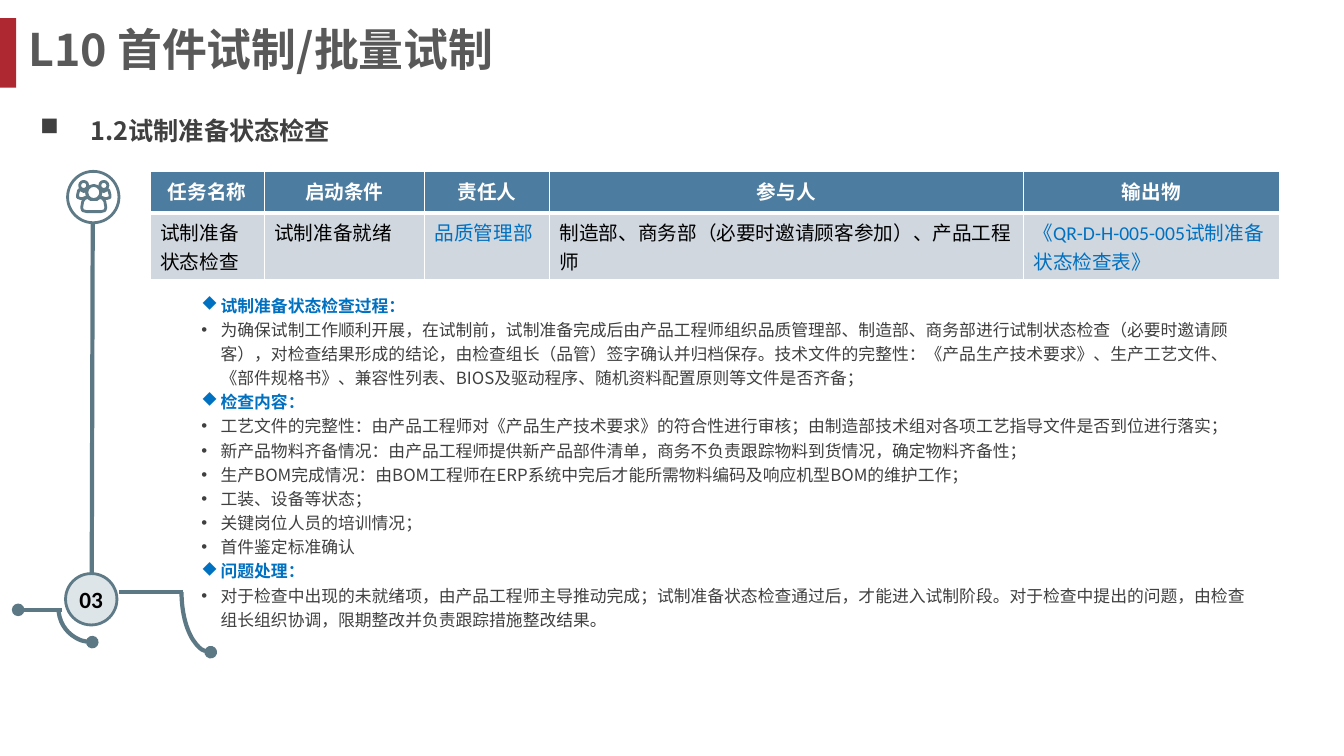
import math
from lxml import etree
from pptx import Presentation
from pptx.dml.color import RGBColor
from pptx.enum import shapes, text
from pptx.oxml import ns
from pptx.util import Inches, Pt

COLORS = {"red": "AD2830", "title": "595959", "body": "404040", "blue": "0070C0",
          "header": "4C7CA0", "row": "D0D7DF", "white": "FFFFFF", "black": "000000",
          "badge": "DEE5E8", "ring": "5E7A86", "track": "5B7884"}
CJK = "Noto Sans CJK SC"
BULLETS = {"square": ("Wingdings", "n"), "diamond": ("Wingdings", "u"), "dot": ("Arial", "•")}


def style(para, size, color, bold=False, latin=CJK, bullet=None, indent=0):
    props = para._p.get_or_add_pPr()
    if indent:
        props.set("marL", str(Inches(indent)))
        props.set("indent", str(-Inches(indent)))
    if bullet:
        face, char = BULLETS[bullet]
        etree.SubElement(props, ns.qn("a:buFont")).set("typeface", face)
        etree.SubElement(props, ns.qn("a:buChar")).set("char", char)
    for span in para.runs:
        span.font.size = Pt(size)
        span.font.bold = bold
        span.font.name = latin
        span.font.color.rgb = RGBColor.from_string(COLORS[color])
        etree.SubElement(span._r.get_or_add_rPr(), ns.qn("a:ea")).set("typeface", CJK)


def draw(shape, fill=None, line=None, width=2, oval_end=False):
    if hasattr(shape, "shadow"):
        shape.shadow.inherit = False
    else:
        etree.SubElement(shape._element.spPr, ns.qn("a:effectLst"))
    if fill:
        shape.fill.solid()
        shape.fill.fore_color.rgb = RGBColor.from_string(COLORS[fill])
    elif hasattr(shape, "fill"):
        shape.fill.background()
    if line:
        shape.line.color.rgb = RGBColor.from_string(COLORS[line])
        shape.line.width = Pt(width)
    else:
        shape.line.fill.background()
    if oval_end:
        etree.SubElement(shape.line._get_or_add_ln(), ns.qn("a:headEnd")).set("type", "oval")


deck = Presentation()
deck.slide_width, deck.slide_height = Inches(13.33), Inches(7.5)
page = deck.slides.add_slide(deck.slide_layouts[5])
preset = shapes.MSO_SHAPE

accent = page.shapes.add_shape(preset.RECTANGLE, 0, Inches(0.18), Inches(0.16), Inches(0.69))
draw(accent, "red")

title = page.shapes.title
title.left, title.top, title.width, title.height = (Inches(n) for n in (0.18, 0.17, 6.05, 0.73))
subtitle = page.shapes.add_textbox(Inches(0.3), Inches(1.09), Inches(11.5), Inches(0.44))
for box, words, size, color, bullet, indent in [
        (title, "L10 首件试制/批量试制", 32, "title", None, 0),
        (subtitle, "1.2试制准备状态检查", 18, "body", "square", 0.5)]:
    frame = box.text_frame
    frame.text = words
    frame.word_wrap = True
    frame.auto_size = text.MSO_AUTO_SIZE.NONE
    frame.vertical_anchor = text.MSO_ANCHOR.TOP
    para = frame.paragraphs[0]
    style(para, size, color, True, bullet=bullet, indent=indent)
    para.alignment = text.PP_ALIGN.LEFT
    para.space_before = Pt(0)
    para.line_spacing = 1.0

columns = [
    (1.13, "任务名称", "试制准备状态检查", "black"),
    (1.59, "启动条件", "试制准备就绪", "black"),
    (1.24, "责任人", "品质管理部", "blue"),
    (4.7, "参与人", "制造部、商务部（必要时邀请顾客参加）、产品工程师", "black"),
    (2.54, "输出物", "《QR-D-H-005-005试制准备状态检查表》", "blue"),
]
table = page.shapes.add_table(2, len(columns), Inches(1.49), Inches(1.7),
                              Inches(11.2), Inches(0.82)).table
for row in table.rows:
    row.height = Inches(0.41)
for col, (width, heading, value, color) in enumerate(columns):
    table.columns[col].width = Inches(width)
    for row, words in enumerate((heading, value)):
        cell = table.cell(row, col)
        cell.text = words
        para = cell.text_frame.paragraphs[0]
        style(para, 14, color if row else "white", not row, "Calibri")
        para.alignment = text.PP_ALIGN.LEFT if row else text.PP_ALIGN.CENTER
        props = cell._tc.get_or_add_tcPr()
        for side in "LRTB":
            weight = 3 if (row, side) in ((0, "B"), (1, "T")) else 1
            border = etree.SubElement(props, ns.qn("a:ln" + side), w=str(Pt(weight)))
            fill = etree.SubElement(border, ns.qn("a:solidFill"))
            etree.SubElement(fill, ns.qn("a:srgbClr")).set("val", COLORS["white"])
        cell.fill.solid()
        cell.fill.fore_color.rgb = RGBColor.from_string(COLORS["row" if row else "header"])

for x1, y1, x2, y2, oval in [(1.18, 5.87, 1.82, 5.87, False),
                             (0.92, 2.2, 0.91, 5.69, False),
                             (0.18, 6.05, 0.62, 6.05, True)]:
    track = page.shapes.add_connector(shapes.MSO_CONNECTOR.STRAIGHT, Inches(x1), Inches(y1),
                                      Inches(x2), Inches(y2))
    draw(track, line="track", width=3, oval_end=oval)
for left, top, width, height in [(1.8, 5.28, 0.58, 1.19), (0.58, 5.7, 0.67, 0.67)]:
    branch = page.shapes.add_shape(preset.ARC, Inches(left), Inches(top),
                                   Inches(width), Inches(height))
    branch.rotation = 180
    draw(branch, line="track", width=3, oval_end=True)

for left, top, fill, label in [(0.67, 1.7, "white", ""), (0.65, 5.69, "badge", "03")]:
    badge = page.shapes.add_shape(preset.OVAL, Inches(left), Inches(top),
                                  Inches(0.51), Inches(0.51))
    draw(badge, fill, "ring")
    if label:
        frame = badge.text_frame
        frame.text = label
        frame.word_wrap = False
        frame.vertical_anchor = text.MSO_ANCHOR.MIDDLE
        frame.paragraphs[0].alignment = text.PP_ALIGN.CENTER
        style(frame.paragraphs[0], 16.6, "black", True, "Calibri")

shoulder = [(0.82, 1.97), (0.8, 1.97), (0.77, 1.96), (0.77, 1.93), (0.78, 1.89), (0.79, 1.88),
            (0.83, 1.9), (0.86, 1.89), (0.86, 1.92), (0.87, 1.95)]
torso = [(0.86, 2.1), (0.82, 2.09), (0.81, 2.06), (0.82, 2.0), (0.84, 1.97), (0.87, 1.96),
         (0.9, 1.98), (0.93, 1.98), (0.96, 1.98), (0.99, 1.96), (1.02, 1.97), (1.04, 2.0),
         (1.05, 2.06), (1.04, 2.09), (1, 2.1)]
outlines = [shoulder, [(1.86 - x, y) for x, y in shoulder], torso]
for x, y, radius in [(0.83, 1.84, 0.04), (1.03, 1.84, 0.04), (0.93, 1.91, 0.07)]:
    outlines.append([(x + radius * math.cos(k * math.pi / 6),
                      y + radius * math.sin(k * math.pi / 6)) for k in range(12)])
outlines = [[(Inches(x), Inches(y)) for x, y in outline] for outline in outlines]
people = page.shapes.build_freeform(*outlines[0][0])
for number, outline in enumerate(outlines):
    if number:
        people.move_to(*outline[0])
    people.add_line_segments(outline[1:], close=True)
draw(people.convert_to_shape(), "white", "ring")

sections = [
    ("试制准备状态检查过程：", [
        "为确保试制工作顺利开展，在试制前，试制准备完成后由产品工程师组织品质管理部、制造部、商务部进行试制状态检查（必要时邀请顾客），对检查结果形成的结论，由检查组长（品管）签字确认并归档保存。技术文件的完整性：《产品生产技术要求》、生产工艺文件、《部件规格书》、兼容性列表、BIOS及驱动程序、随机资料配置原则等文件是否齐备；"]),
    ("检查内容：", [
        "工艺文件的完整性：由产品工程师对《产品生产技术要求》的符合性进行审核；由制造部技术组对各项工艺指导文件是否到位进行落实；",
        "新产品物料齐备情况：由产品工程师提供新产品部件清单，商务不负责跟踪物料到货情况，确定物料齐备性；",
        "生产BOM完成情况：由BOM工程师在ERP系统中完后才能所需物料编码及响应机型BOM的维护工作；",
        "工装、设备等状态；",
        "关键岗位人员的培训情况；",
        "首件鉴定标准确认"]),
    ("问题处理：", [
        "对于检查中出现的未就绪项，由产品工程师主导推动完成；试制准备状态检查通过后，才能进入试制阶段。对于检查中提出的问题，由检查组长组织协调，限期整改并负责跟踪措施整改结果。"]),
]
details = page.shapes.add_textbox(Inches(1.9), Inches(2.84), Inches(10.6), Inches(4.06))
frame = details.text_frame
frame.word_wrap = True
lines = []
for heading, items in sections:
    lines.append((heading, "blue", True, "diamond"))
    lines += [(item, "body", False, "dot") for item in items]
for number, (words, color, bold, bullet) in enumerate(lines):
    para = frame.add_paragraph() if number else frame.paragraphs[0]
    para.text = words
    style(para, 12, color, bold, bullet=bullet, indent=0.19)
    para.line_spacing = 1.2

deck.save("out.pptx")
